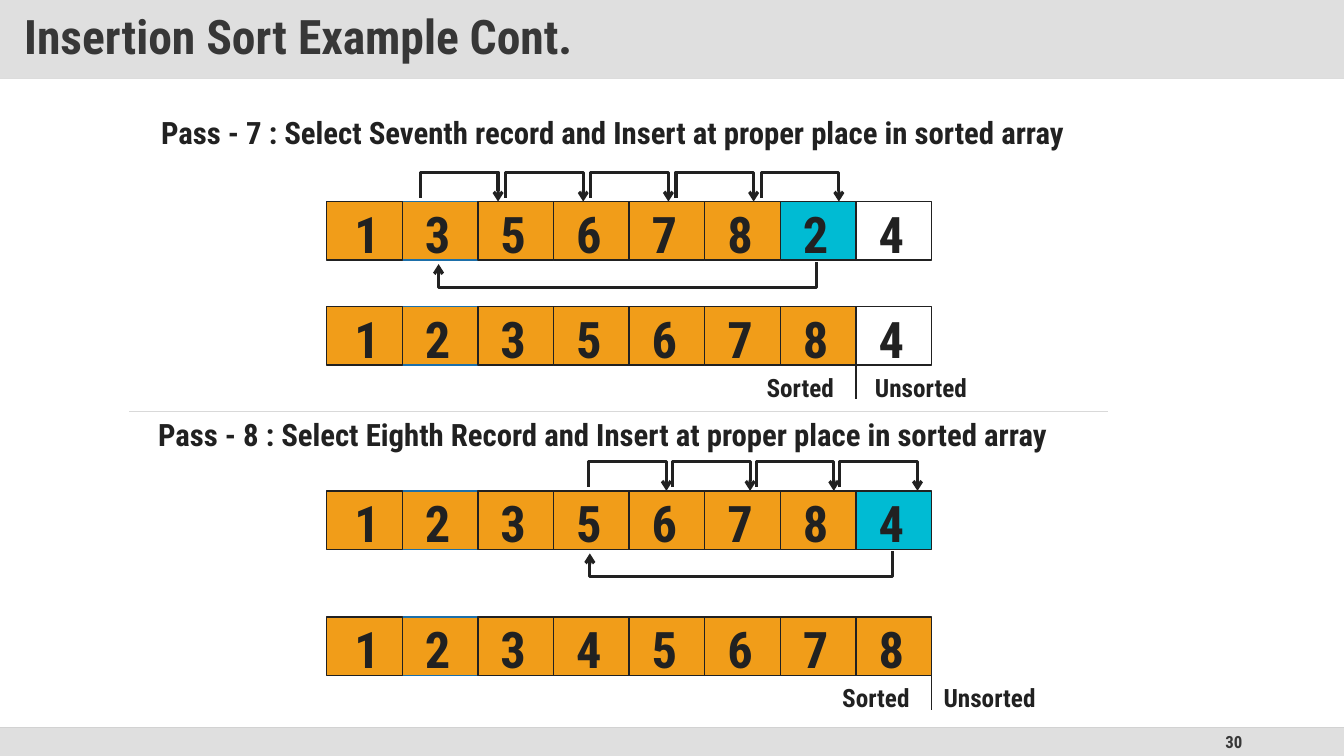
from pptx import Presentation
from pptx.dml.color import RGBColor
from pptx.enum.shapes import MSO_CONNECTOR, MSO_SHAPE
from pptx.enum.text import MSO_ANCHOR, MSO_AUTO_SIZE, PP_ALIGN
from pptx.oxml.ns import qn
from pptx.util import Inches, Pt
from lxml.etree import SubElement

FONT = "Roboto Condensed"
INK = RGBColor(0x21, 0x21, 0x21)
TITLE_INK = RGBColor(0x37, 0x37, 0x37)
BAND = RGBColor(0xDF, 0xDF, 0xDF)
RULE = RGBColor(0xD9, 0xD9, 0xD9)
FOOTER_RULE = RGBColor(0xD2, 0xD2, 0xD2)
SORTED = RGBColor(0xF1, 0x9D, 0x19)
PICKED = RGBColor(0x00, 0xBB, 0xD3)
UNSORTED = RGBColor(0xFF, 0xFF, 0xFF)
BLUE_EDGE = RGBColor(0x1D, 0x6F, 0xA9)

PAGE_WIDTH, PAGE_HEIGHT = 13.33, 7.5
ROW_LEFT = 3.24
CELL_WIDTH, CELL_HEIGHT = 0.75, 0.58
SHIFT_SPAN = 0.77
BEND = 0.25


def write(shape, text, size, color=INK, align=PP_ALIGN.LEFT, anchor=MSO_ANCHOR.TOP,
          insets=(0.1, 0.05, 0.1, 0.05), spacing=None):
    frame = shape.text_frame
    frame.vertical_anchor = anchor
    frame.margin_left, frame.margin_top, frame.margin_right, frame.margin_bottom = map(Inches, insets)
    para = frame.paragraphs[0]
    para.alignment = align
    if spacing:
        para.line_spacing = spacing
    span = para.add_run()
    span.text = text
    span.font.name = FONT
    span.font.size = Pt(size)
    span.font.bold = True
    span.font.color.rgb = color


def add_label(page, left, top, width, height, text, size, **text_format):
    box = page.shapes.add_textbox(Inches(left), Inches(top), Inches(width), Inches(height))
    box.text_frame.word_wrap = False
    box.text_frame.auto_size = MSO_AUTO_SIZE.SHAPE_TO_FIT_TEXT
    write(box, text, size, **text_format)


def add_rectangle(page, left, top, width, height, fill, edge=None):
    shape = page.shapes.add_shape(MSO_SHAPE.RECTANGLE, Inches(left), Inches(top),
                                  Inches(width), Inches(height))
    shape.shadow.inherit = False
    shape.fill.solid()
    shape.fill.fore_color.rgb = fill
    if edge is None:
        shape.line.fill.background()
    else:
        shape.line.color.rgb = edge
        shape.line.width = Pt(1)
    return shape


def add_line(page, start, end, color, weight, kind=MSO_CONNECTOR.STRAIGHT):
    line = page.shapes.add_connector(kind, *map(Inches, (*start, *end)))
    line.line.color.rgb = color
    line.line.width = Pt(weight)
    SubElement(line._element.spPr, qn("a:effectLst"))
    return line


def add_bent_arrow(page, start, end, bend_top):
    across, down = abs(end[0] - start[0]), end[1] - start[1]
    left = (start[0] + end[0] - down) / 2
    top = (start[1] + end[1] - across) / 2
    arrow = add_line(page, (left, top), (left + down, top + across), INK, 2.25, MSO_CONNECTOR.ELBOW)
    properties = arrow._element.spPr
    frame = properties.find(qn("a:xfrm"))
    if end[0] > start[0]:
        frame.set("rot", str(270 * 60000))
        frame.set("flipH", "1")
    else:
        frame.set("rot", str(90 * 60000))
    adjustments = properties.find(qn("a:prstGeom")).get_or_add_avLst()
    ratio = round((bend_top - start[1]) / down * 100000)
    SubElement(adjustments, qn("a:gd"), name="adj1", fmla=f"val {ratio}")
    SubElement(arrow.line._get_or_add_ln(), qn("a:tailEnd"), type="arrow")


def add_array(page, left, top, values, sorted_count, picked=None):
    for index in sorted(range(len(values)), key=lambda place: place != 1):
        fill = PICKED if index == picked else SORTED if index < sorted_count else UNSORTED
        cell = add_rectangle(page, left + index * CELL_WIDTH, top, CELL_WIDTH, CELL_HEIGHT,
                             fill, BLUE_EDGE if index == 1 else INK)
        insets = (0.05, 0.05, 0, 0) if index == 0 else (0, 0.05, 0.05, 0)
        write(cell, str(values[index]), 36, align=PP_ALIGN.CENTER,
              anchor=MSO_ANCHOR.MIDDLE, insets=insets)


def add_boundary(page, left, top, gap):
    add_line(page, (left, top), (left, top + 0.34), INK, 1)
    add_label(page, left - 1.07, top + 0.02, 0.95, 0.4, "Sorted", 18, align=PP_ALIGN.RIGHT)
    add_label(page, left + gap, top + 0.02, 1.17, 0.4, "Unsorted", 18)


def add_pass(page, heading, heading_box, before, after, before_top, after_top,
             picked, shift_starts, return_ends, label_gap):
    add_label(page, *heading_box, heading, 22)
    add_array(page, ROW_LEFT, before_top, before, picked, picked)
    for start in shift_starts:
        top = before_top - 0.04
        add_bent_arrow(page, (start, top), (start + SHIFT_SPAN, before_top), top - BEND)
    return_top = before_top + CELL_HEIGHT + 0.02
    add_bent_arrow(page, (return_ends[0], return_top), (return_ends[1], return_top + 0.02),
                   return_top + BEND)
    add_array(page, ROW_LEFT, after_top, after, picked + 1)
    add_boundary(page, ROW_LEFT + (picked + 1) * CELL_WIDTH, after_top + CELL_HEIGHT, label_gap)


def add_header(page, height, title):
    add_line(page, (0, height), (PAGE_WIDTH, height), RULE, 1)
    band = add_rectangle(page, 0, 0, PAGE_WIDTH, height, BAND)
    write(band, title, 34, color=TITLE_INK, anchor=MSO_ANCHOR.MIDDLE,
          insets=(0.24, 0.12, 0.24, 0.12), spacing=0.9)


def add_footer(page, top, number):
    height = PAGE_HEIGHT - top
    add_rectangle(page, 0, top, PAGE_WIDTH, height, BAND)
    add_label(page, 9.42, top, 3, height, number, 12, color=TITLE_INK,
              align=PP_ALIGN.RIGHT, anchor=MSO_ANCHOR.MIDDLE)
    add_line(page, (0, top), (PAGE_WIDTH, top), FOOTER_RULE, 1)


def main():
    deck = Presentation()
    deck.slide_width, deck.slide_height = Inches(PAGE_WIDTH), Inches(PAGE_HEIGHT)
    page = deck.slides.add_slide(deck.slide_layouts[6])
    add_footer(page, 7.22, "30")
    add_header(page, 0.78, "Insertion Sort Example Cont.")
    add_pass(page, "Pass - 7 : Select Seventh record and Insert at proper place in sorted array",
             (1.5, 1.08, 9.39, 0.47),
             before=[1, 3, 5, 6, 7, 8, 2, 4], after=[1, 2, 3, 5, 6, 7, 8, 4],
             before_top=2, after_top=3.04, picked=6,
             shift_starts=[4.17 + 0.845 * step for step in range(5)],
             return_ends=(8.1, 4.35), label_gap=0.09)
    add_line(page, (1.28, 4.08), (10.99, 4.08), RULE, 0.5)
    add_pass(page, "Pass - 8 : Select Eighth Record and Insert at proper place in sorted array",
             (1.47, 4.08, 9.3, 0.47),
             before=[1, 2, 3, 5, 6, 7, 8, 4], after=[1, 2, 3, 4, 5, 6, 7, 8],
             before_top=4.87, after_top=6.12, picked=7,
             shift_starts=[5.84 + 0.83 * step for step in range(4)],
             return_ends=(8.85, 5.85), label_gap=0.02)
    deck.save("out.pptx")


if __name__ == "__main__":
    main()
